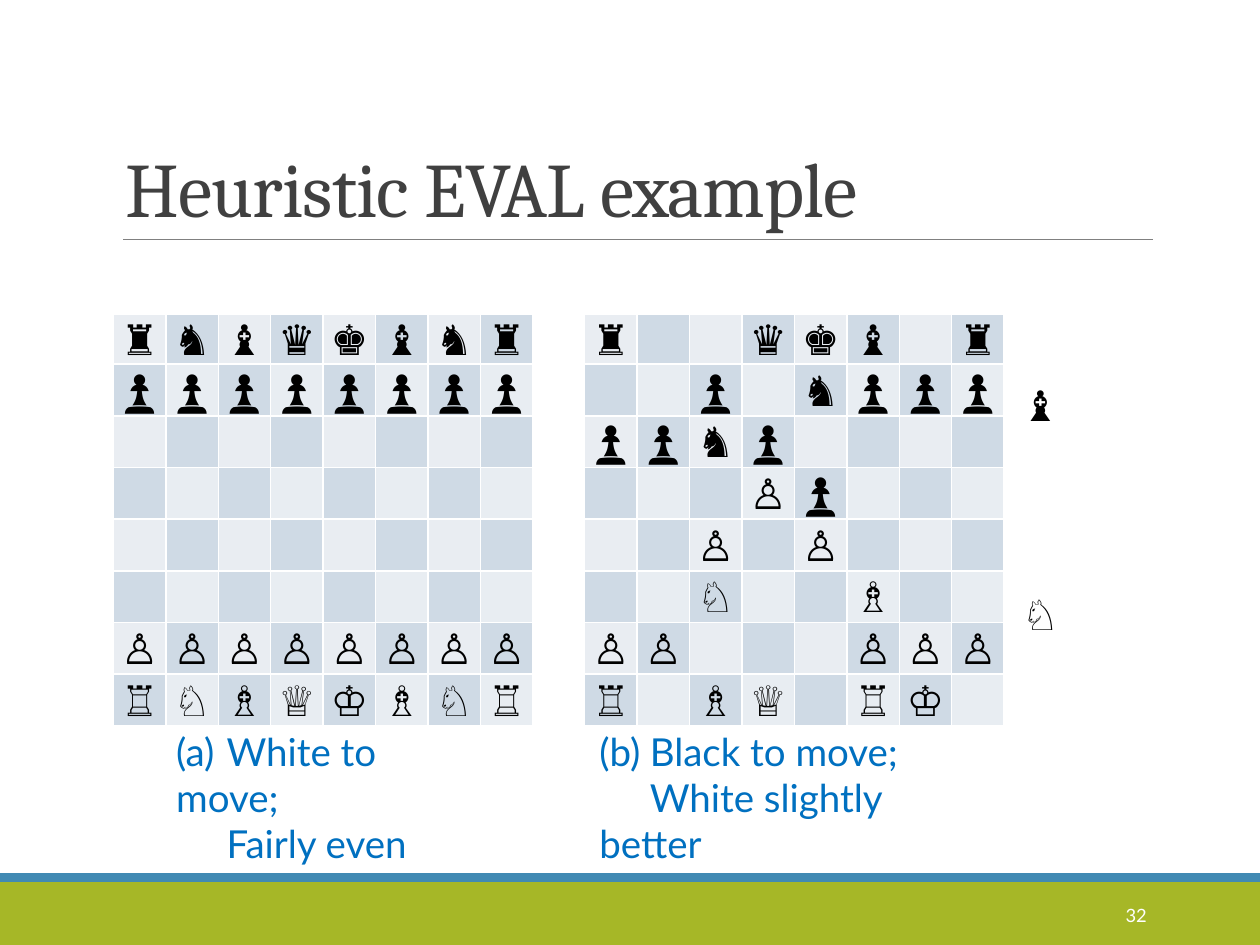
from lxml.etree import SubElement
from pptx import Presentation
from pptx.dml.color import RGBColor
from pptx.enum.shapes import MSO_CONNECTOR as Connector, MSO_SHAPE as Shape
from pptx.enum.text import MSO_ANCHOR as Anchor, PP_ALIGN as Align
from pptx.oxml.ns import qn
from pptx.util import Inches, Pt

BODY_FONT = "Lato"
BLACK = "000000"
DARK_SQUARE = "CFDAE5"
LIGHT_SQUARES = ("E9EDF2", "E8EDF2")
SQUARE = 0.41

# One string for each rank; a dot is an empty square
OPENING = [
    "♜♞♝♛♚♝♞♜",
    "♟" * 8,
    *["." * 8] * 4,
    "♙" * 8,
    "♖♘♗♕♔♗♘♖",
]
MIDDLE_GAME = [
    "♜..♛♚♝.♜",
    "..♟.♞♟♟♟",
    "♟♟♞♟....",
    "...♙♟...",
    "..♙.♙...",
    "..♘..♗..",
    "♙♙...♙♙♙",
    "♖.♗♕.♖♔.",
]


def color(hex_string):
    return RGBColor.from_string(hex_string)


def format_runs(paragraph, size, hex_string, font=BODY_FONT, bold=False):
    for run in paragraph.runs:
        run.font.name = font
        run.font.size = Pt(size)
        run.font.bold = bold
        run.font.color.rgb = color(hex_string)


def add_band(slide, top, height, fill):
    band = slide.shapes.add_shape(
        Shape.RECTANGLE, 0, Inches(top), Inches(10), Inches(height))
    band.shadow.inherit = False
    band.fill.solid()
    band.fill.fore_color.rgb = color(fill)
    band.line.fill.background()


def add_rule(slide, left, right, top, hex_string):
    rule = slide.shapes.add_connector(
        Connector.STRAIGHT, Inches(left), Inches(top), Inches(right), Inches(top))
    rule.line.color.rgb = color(hex_string)
    rule.line.width = Pt(0.5)
    SubElement(rule._element.spPr, qn("a:effectLst"))


def add_text(slide, text, box, size, hex_string, font=BODY_FONT,
             align=Align.LEFT, anchor=Anchor.TOP, wrap=True):
    shape = slide.shapes.add_textbox(*map(Inches, box))
    frame = shape.text_frame
    frame.word_wrap = wrap
    frame.vertical_anchor = anchor
    paragraph = frame.paragraphs[0]
    paragraph.text = text
    paragraph.alignment = align
    format_runs(paragraph, size, hex_string, font)
    return paragraph


def add_title(slide, text):
    title = add_text(slide, text, (0.9, 0.31, 8.25, 1.59), 44, "404040",
                     font="Cambria", anchor=Anchor.BOTTOM)
    title.line_spacing = 0.85
    title.runs[0].font._element.set("spc", "-50")


def add_caption(slide, text, left, width):
    """Add a caption whose lines align at a tab stop after the label."""
    caption = add_text(slide, text, (left, 5.73, width, 0.84), 22, "0070C0")
    tab_list = SubElement(caption._p.get_or_add_pPr(), qn("a:tabLst"))
    SubElement(tab_list, qn("a:tab"), pos=str(Inches(0.4)), algn="l")


def fill_square(cell, piece, fill, bold):
    cell.fill.solid()
    cell.fill.fore_color.rgb = color(fill)
    cell.margin_left = cell.margin_right = 0
    cell.margin_top = cell.margin_bottom = 0
    cell.vertical_anchor = Anchor.MIDDLE
    if piece != ".":
        paragraph = cell.text_frame.paragraphs[0]
        paragraph.text = piece
        paragraph.alignment = Align.CENTER
        format_runs(paragraph, 24, BLACK, bold=bold)


def add_board(slide, left, ranks):
    board = slide.shapes.add_table(
        8, 8, Inches(left), Inches(2.49), Inches(3.33), Inches(3.24)).table
    board.first_row = board.horz_banding = False
    for row, rank in enumerate(ranks):
        board.rows[row].height = Inches(SQUARE if row else 0.35)
        for column, piece in enumerate(rank):
            is_dark = (row + column) % 2
            fill = DARK_SQUARE if is_dark else LIGHT_SQUARES[row % 2]
            fill_square(board.cell(row, column), piece, fill, bold=row == 0)


def main():
    presentation = Presentation()
    presentation.slide_width = Inches(10)
    presentation.slide_height = Inches(7.5)
    slide = presentation.slides.add_slide(presentation.slide_layouts[6])

    add_band(slide, 7, 0.5, "A6B727")
    add_band(slide, 6.93, 0.07, "418AB3")
    add_rule(slide, 0.98, 9.15, 1.9, "808080")
    add_title(slide, "Heuristic EVAL example")
    add_text(slide, "32", (8.12, 7.06, 1.08, 0.4), 10.5, "FFFFFF",
             align=Align.RIGHT, anchor=Anchor.MIDDLE)

    add_board(slide, 0.9, OPENING)
    add_caption(slide, "(a)\tWhite to move;\v\tFairly even", 1.3, 2.52)
    add_board(slide, 4.64, MIDDLE_GAME)
    add_caption(slide, "(b)\tBlack to move;\v\tWhite slightly better", 4.66, 3.17)
    for captured_piece, top in (("♝", 2.96), ("♘", 4.62)):
        add_text(slide, captured_piece, (8.01, top, 0.54, 0.5), 24, BLACK, wrap=False)

    presentation.save("out.pptx")


if __name__ == "__main__":
    main()
